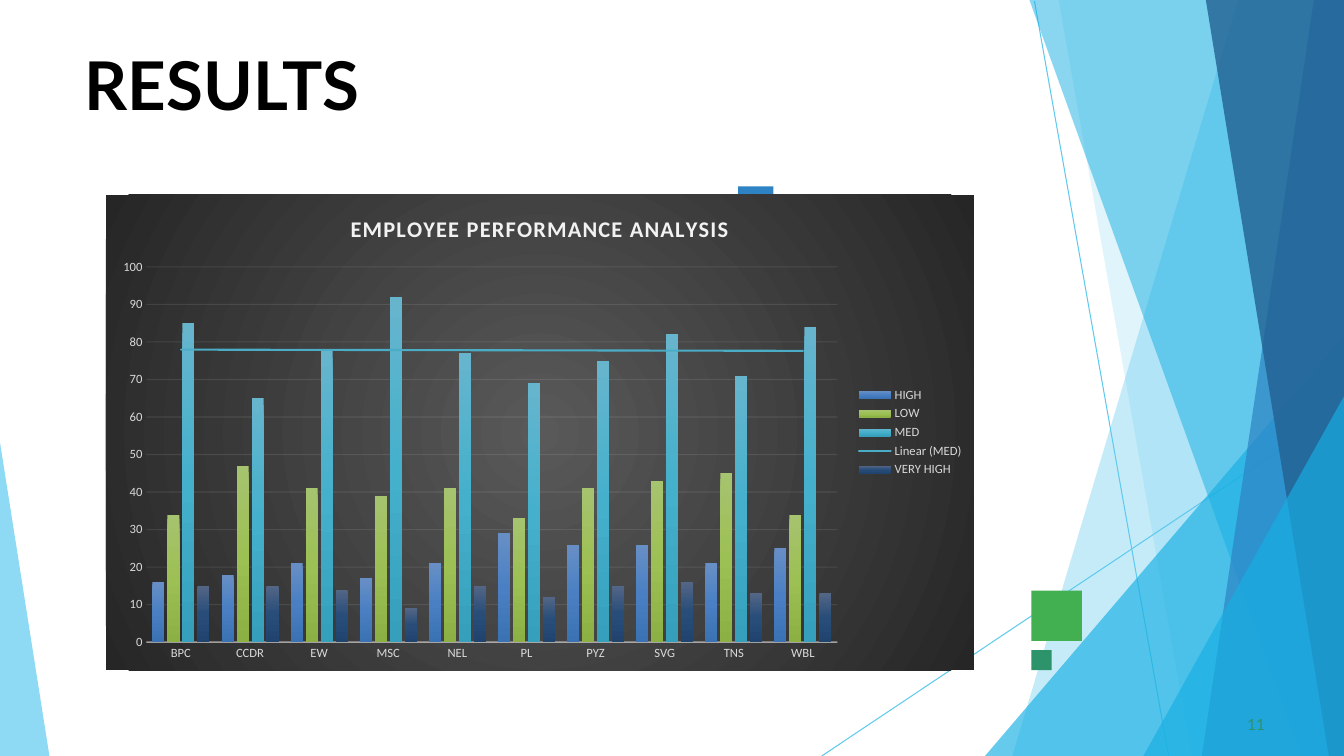
from pptx import Presentation
from pptx.chart.data import CategoryChartData
from pptx.dml.color import RGBColor
from pptx.enum.chart import XL_CHART_TYPE, XL_LEGEND_POSITION, XL_TICK_MARK
from pptx.enum.shapes import MSO_CONNECTOR, MSO_SHAPE
from pptx.enum.text import MSO_ANCHOR, PP_ALIGN
from pptx.oxml import parse_xml
from pptx.oxml.ns import nsdecls, qn
from pptx.util import Inches, Pt

BLACK = RGBColor(0x00, 0x00, 0x00)
SKY = RGBColor(0x5F, 0xCA, 0xEE)
CYAN = RGBColor(0x17, 0xAF, 0xE3)
BLUE = RGBColor(0x2D, 0x83, 0xC3)
NAVY = RGBColor(0x22, 0x61, 0x92)
GREEN = RGBColor(0x42, 0xAF, 0x51)
TEAL = RGBColor(0x2D, 0x93, 0x6B)
LABEL = RGBColor(0xD9, 0xD9, 0xD9)
PALE = RGBColor(0xF2, 0xF2, 0xF2)
TREND = RGBColor(0x4B, 0xAC, 0xC6)
PANEL = (RGBColor(0x59, 0x59, 0x59), RGBColor(0x26, 0x26, 0x26))

W, H = 13.33, 7.5

# Background facets: corner points, colour, opacity in percent
FACETS = [
    ([(W, 0), (12.28, 0), (10.04, H), (W, H)], SKY, 36),
    ([(W, 0), (10.5, 0), (11.82, H), (W, H)], SKY, 20),
    ([(W, 3.33), (9.77, H), (W, H)], CYAN, 66),
    ([(W, 0), (10.21, 0), (12.91, H), (W, H)], CYAN, 50),
    ([(W, 0), (13.03, 0), (11.92, H), (W, H)], BLUE, 70),
    ([(W, 0), (11.96, 0), (13.18, H), (W, H)], NAVY, 80),
    ([(W, 3.93), (11.34, H), (W, H)], CYAN, 66),
    ([(0, 4.39), (0, H), (0.49, H)], SKY, 70),
]

CATEGORIES = ["BPC", "CCDR", "EW", "MSC", "NEL", "PL", "PYZ", "SVG", "TNS", "WBL"]

# Rating: values, gradient from top to bottom
RATINGS = {
    "HIGH": ([16, 18, 21, 17, 21, 29, 26, 26, 21, 25],
             (RGBColor(0x68, 0x8F, 0xC5), RGBColor(0x4A, 0x80, 0xC3), RGBColor(0x3B, 0x72, 0xB3))),
    "LOW": ([34, 47, 41, 39, 41, 33, 41, 43, 45, 34],
            (RGBColor(0xA6, 0xC3, 0x6F), RGBColor(0x9D, 0xC0, 0x54), RGBColor(0x8D, 0xB0, 0x45))),
    "MED": ([85, 65, 78, 92, 77, 69, 75, 82, 71, 84],
            (RGBColor(0x66, 0xB5, 0xCD), RGBColor(0x45, 0xB0, 0xCC), RGBColor(0x36, 0xA0, 0xBC))),
    "VERY HIGH": ([15, 15, 14, 9, 15, 12, 15, 16, 13, 13],
                  (RGBColor(0x53, 0x66, 0x86), RGBColor(0x28, 0x4D, 0x79), RGBColor(0x20, 0x44, 0x6E))),
}


def set_alpha(element, percent):
    for clr in element.iter(qn("a:srgbClr")):
        clr.append(parse_xml(f'<a:alpha {nsdecls("a")} val="{percent * 1000}"/>'))


def gradient(colors, direction):
    step = 100000 // (len(colors) - 1)
    stops = "".join(f'<a:gs pos="{i * step}"><a:srgbClr val="{c}"/></a:gs>'
                    for i, c in enumerate(colors))
    return f"<a:gradFill><a:gsLst>{stops}</a:gsLst>{direction}</a:gradFill>"


def paint(sp, color):
    sp.shadow.inherit = False
    sp.fill.solid()
    sp.fill.fore_color.rgb = color
    sp.line.fill.background()


def add_facet(s, points, color, opacity):
    (x, y), *rest = [(Inches(px), Inches(py)) for px, py in points]
    builder = s.shapes.build_freeform(x, y)
    builder.add_line_segments(rest, close=True)
    sp = builder.convert_to_shape()
    paint(sp, color)
    set_alpha(sp._element.spPr, opacity)


def add_line(s, x1, y1, x2, y2):
    line = s.shapes.add_connector(MSO_CONNECTOR.STRAIGHT, Inches(x1), Inches(y1),
                                  Inches(x2), Inches(y2))
    line.line.color.rgb = SKY
    line.line.width = Pt(0.75)
    line._element.spPr.append(parse_xml(f'<a:effectLst {nsdecls("a")}/>'))


def add_square(s, x, y, side, color):
    sp = s.shapes.add_shape(MSO_SHAPE.RECTANGLE, Inches(x), Inches(y),
                            Inches(side), Inches(side))
    paint(sp, color)


def write(sp, text, box, size, color, bold=False, before=0, indent=0):
    sp.left, sp.top, sp.width, sp.height = [Inches(v) for v in box]
    tf = sp.text_frame
    tf.word_wrap = True
    tf.vertical_anchor = MSO_ANCHOR.TOP
    tf.margin_left = Inches(indent)
    tf.margin_top = Inches(0.01)
    tf.margin_right = tf.margin_bottom = 0
    p = tf.paragraphs[0]
    p.alignment = PP_ALIGN.LEFT
    p.space_before = Pt(before)
    r = p.add_run()
    r.text = text
    set_font(r.font, size, color, "Lato", bold)


def set_font(font, size, color, name="Calibri", bold=False):
    font.name, font.size, font.bold = name, Pt(size), bold
    font.color.rgb = color


def style_axes(chart):
    cat, val = chart.category_axis, chart.value_axis
    for axis in (cat, val):
        axis.major_tick_mark = axis.minor_tick_mark = XL_TICK_MARK.NONE
        set_font(axis.tick_labels.font, 9, LABEL)
    cat.format.line.color.rgb = PALE
    cat.format.line.width = Pt(1)
    set_alpha(cat._element.find(qn("c:spPr")), 54)
    val.minimum_scale, val.maximum_scale, val.major_unit = 0, 100, 10
    val.format.line.fill.background()
    grid = val.major_gridlines.format.line
    grid.color.rgb = PALE
    grid.width = Pt(0.75)
    set_alpha(val._element.find(qn("c:majorGridlines")), 10)


def add_trendline(series):
    series._element.find(qn("c:cat")).addprevious(parse_xml(
        f'<c:trendline {nsdecls("c", "a")}><c:spPr><a:ln w="{Pt(1.5)}" cap="rnd">'
        f'<a:solidFill><a:srgbClr val="{TREND}"/></a:solidFill></a:ln></c:spPr>'
        '<c:trendlineType val="linear"/><c:dispRSqr val="0"/><c:dispEq val="0"/>'
        '</c:trendline>'))


def add_ratings_chart(s, x, y, w, h):
    data = CategoryChartData()
    data.categories = CATEGORIES
    for name, (values, _) in RATINGS.items():
        data.add_series(name, values)
    chart = s.shapes.add_chart(XL_CHART_TYPE.COLUMN_CLUSTERED, Inches(x), Inches(y),
                               Inches(w), Inches(h), data).chart
    set_font(chart.font, 10, BLACK)

    # Dark panel
    radial = '<a:path path="circle"><a:fillToRect l="50000" t="50000" r="50000" b="50000"/></a:path>'
    chart._chartSpace.find(qn("c:txPr")).addprevious(parse_xml(
        f'<c:spPr {nsdecls("c", "a")}>{gradient(PANEL, radial)}'
        '<a:ln><a:noFill/></a:ln></c:spPr>'))

    # Title and legend
    chart.has_title = True
    chart.chart_title.include_in_layout = False
    r = chart.chart_title.text_frame.paragraphs[0].add_run()
    r.text = "EMPLOYEE PERFORMANCE ANALYSIS"
    set_font(r.font, 16, PALE, bold=True)
    r.font._element.set("spc", "100")
    chart.has_legend = True
    chart.legend.position = XL_LEGEND_POSITION.RIGHT
    chart.legend.include_in_layout = False
    set_font(chart.legend.font, 9, LABEL)

    # Columns
    style_axes(chart)
    plot = chart.plots[0]
    plot.gap_width, plot.overlap, plot.vary_by_categories = 100, -24, False
    for series in plot.series:
        colors = RATINGS[series.name][1]
        series.invert_if_negative = False
        series.format.fill.background()
        no_fill = series._element.find(qn("c:spPr")).find(qn("a:noFill"))
        fill = gradient(colors, '<a:lin ang="5400000" scaled="0"/>')
        no_fill.getparent().replace(no_fill, parse_xml(
            fill.replace("<a:gradFill>", f'<a:gradFill {nsdecls("a")}>', 1)))
        if series.name == "MED":
            add_trendline(series)


def main():
    prs = Presentation()
    prs.slide_width, prs.slide_height = Inches(W), Inches(H)
    s = prs.slides.add_slide(prs.slide_layouts[5])

    # Background
    add_line(s, 10.26, 0.01, 11.59, H)
    add_line(s, W, 4.04, 8.15, H)
    for points, color, opacity in FACETS:
        add_facet(s, points, color, opacity)

    # Accent squares
    add_square(s, 10.23, 5.86, 0.5, GREEN)
    add_square(s, 7.32, 1.85, 0.35, BLUE)
    add_square(s, 10.23, 6.45, 0.2, TEAL)

    # Title, page number and chart
    write(s.shapes.title, "RESULTS", (0.83, 0.42, 3.98, 0.81), 48, BLACK,
          bold=True, before=1.1, indent=0.01)
    number = s.shapes.add_textbox(0, 0, 0, 0)
    write(number, "11", (12.33, 7.08, 0.25, 0.21), 11, TEAL, before=0.6, indent=0.04)
    add_ratings_chart(s, 1.05, 1.93, 8.61, 4.72)

    prs.save("out.pptx")


if __name__ == "__main__":
    main()
